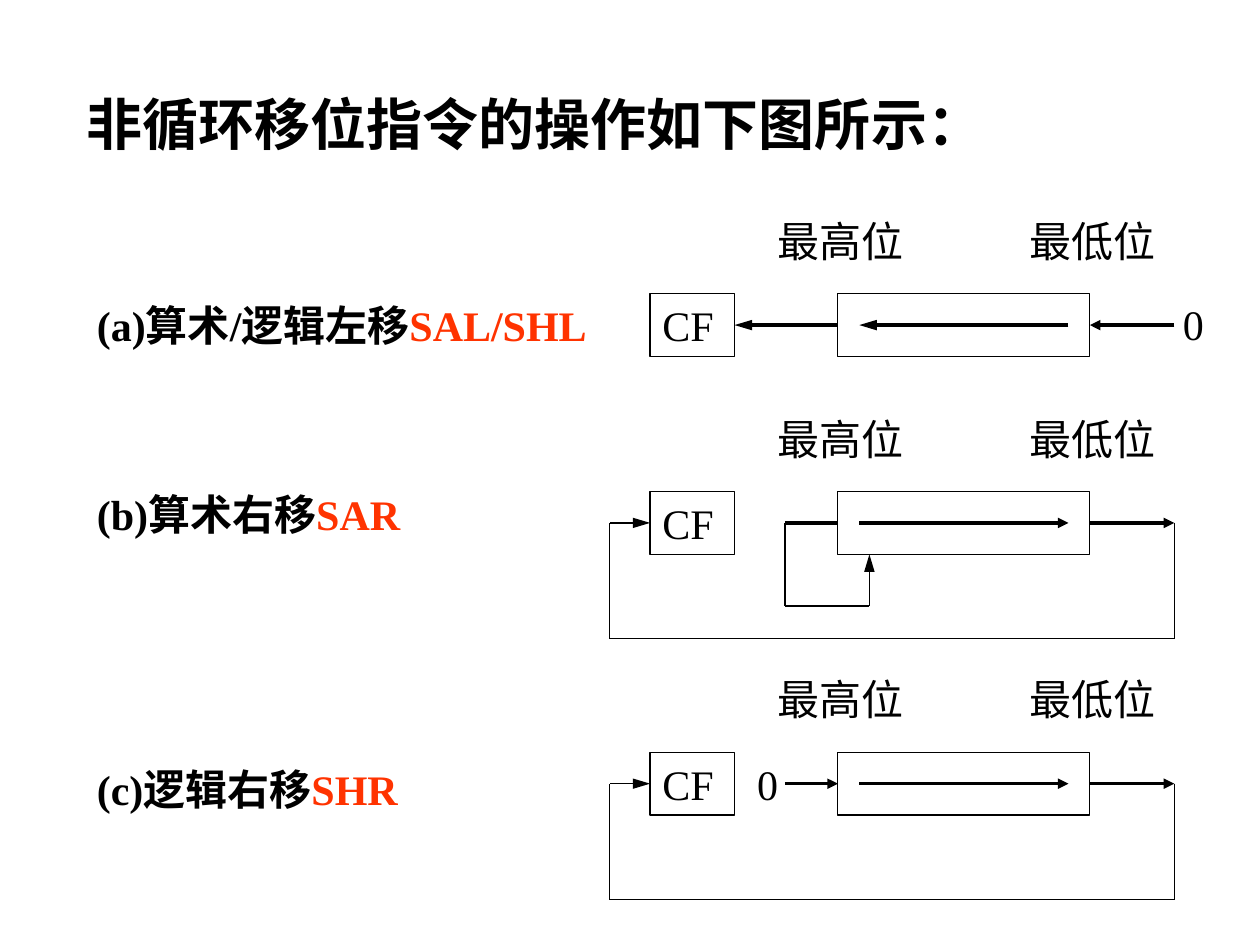
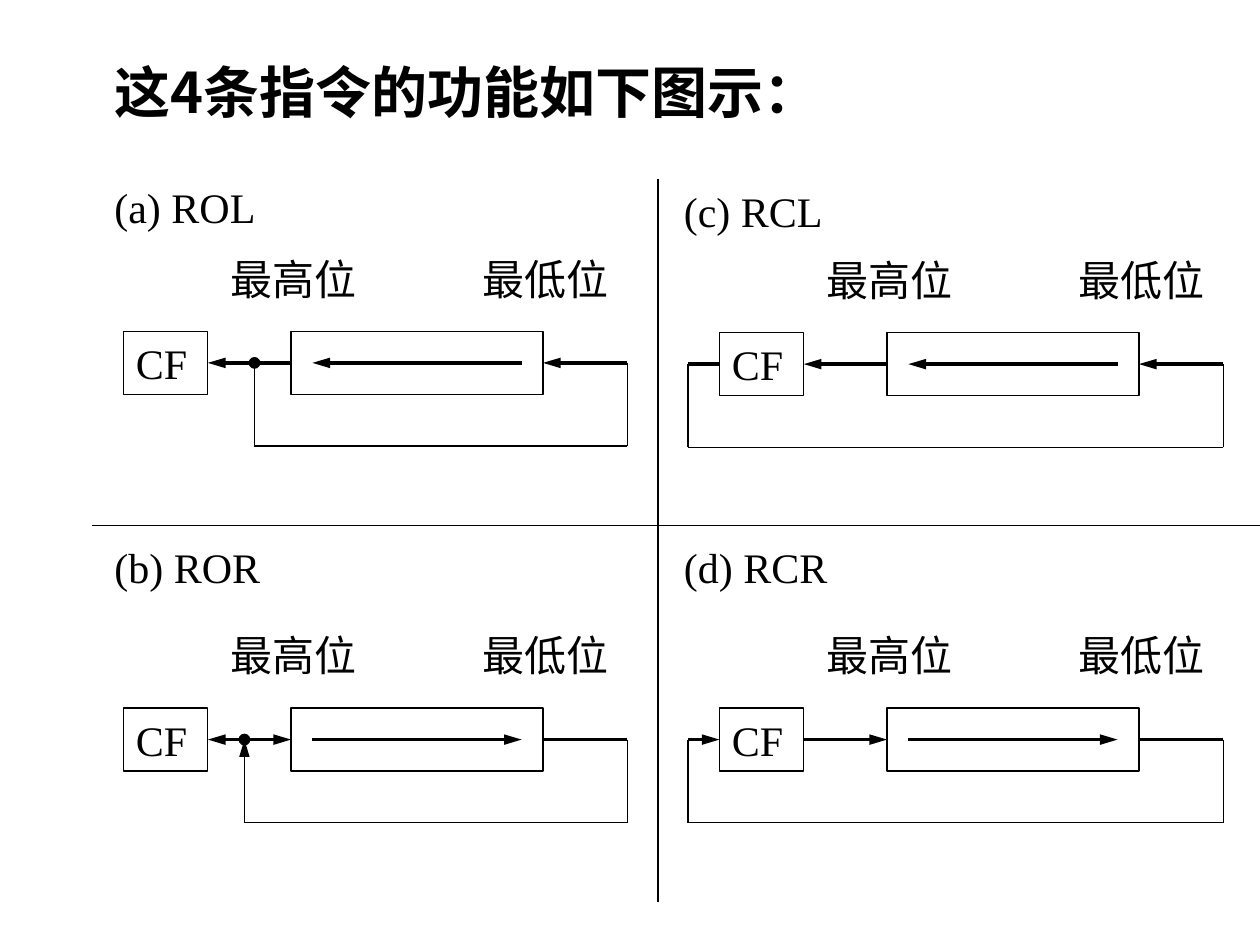
from collections import namedtuple
from dataclasses import dataclass
from itertools import pairwise

from pptx import Presentation
from pptx.dml.color import RGBColor
from pptx.enum.shapes import MSO_CONNECTOR as Link, MSO_SHAPE as Form
from pptx.enum.text import MSO_ANCHOR as Anchor, PP_ALIGN as Align
from pptx.oxml.ns import qn
from pptx.oxml.xmlchemy import OxmlElement as Node
from pptx.util import Inches, Pt

TOP, LEFT, BOTTOM, RIGHT = range(4)
Join = namedtuple("Join", "shape side")


@dataclass(frozen=True)
class Theme:
    ink: RGBColor = RGBColor(0, 0, 0)
    red: RGBColor = RGBColor(0xFF, 0x33, 0x00)
    latin: str = "Times New Roman"
    han: str = "Noto Sans CJK SC"
    head: int = 32
    body: int = 24
    thin: float = 0.75
    rule: float = 1
    bold: float = 2


class Deck:
    def __init__(self, theme):
        self.theme = theme
        self.prs = Presentation()
        self.prs.slide_width, self.prs.slide_height = Inches(10), Inches(7.5)
        self.slide = None

    def page(self, title, x, y):
        self.slide = self.prs.slides.add_slide(self.prs.slide_layouts[6])
        look = {"size": Pt(self.theme.head), "name": self.theme.han, "bold": True}
        box = self.text(x, y, 8.5, 0.63, [(title, look)])
        box.text_frame.paragraphs[0].line_spacing = 0.9

    def fill_text(self, shape, runs):
        """Write (words, format values) runs into the shape's first paragraph."""
        frame = shape.text_frame
        frame.word_wrap = True
        frame.vertical_anchor = Anchor.TOP
        para = frame.paragraphs[0]
        para.alignment = Align.LEFT
        for words, look in runs:
            run = para.add_run()
            run.text = words
            base = {"size": Pt(self.theme.body), "name": self.theme.latin}
            for key, val in (base | look).items():
                if key == "color":
                    run.font.color.rgb = val
                else:
                    setattr(run.font, key, val)
            if "color" not in look:
                run.font.color.rgb = self.theme.ink
            east = Node("a:ea")
            east.set("typeface", self.theme.han)
            run.font._element.find(qn("a:latin")).addnext(east)

    def text(self, x, y, w, h, runs):
        box = self.slide.shapes.add_textbox(*map(Inches, (x, y, w, h)))
        self.fill_text(box, runs)
        return box

    def label(self, x, y, words, w=1.5):
        self.text(x, y, w, 0.5, [(words, {})])

    def name(self, y, words, code):
        """Name a shift in bold, with its mnemonic in red."""
        red = {"bold": True, "color": self.theme.red}
        self.text(0.67, y, 4.32, 0.5, [(words, {"bold": True}), (code, red)])

    def shape(self, form, x, y, w, h, weight):
        item = self.slide.shapes.add_shape(form, *map(Inches, (x, y, w, h)))
        item.shadow.inherit = False
        item.fill.background()
        item.line.color.rgb = self.theme.ink
        item.line.width = Pt(weight)
        return item

    def dot(self, x, y):
        item = self.shape(Form.OVAL, x - 0.04, y - 0.04, 0.08, 0.08, self.theme.rule)
        item.fill.solid()
        item.fill.fore_color.rgb = self.theme.ink

    def line(self, a, b, weight=None, tips=(), size="lg"):
        """Draw from a to b, each a point or a Join; tips names the arrow ends."""
        start, stop = ((0, 0) if isinstance(end, Join) else end for end in (a, b))
        line = self.slide.shapes.add_connector(
            Link.STRAIGHT, *map(Inches, (*start, *stop)))
        if isinstance(a, Join):
            line.begin_connect(*a)
        if isinstance(b, Join):
            line.end_connect(*b)
        line.line.color.rgb = self.theme.ink
        line.line.width = Pt(weight or self.theme.bold)
        props = line._element.spPr
        for tip in tips:
            node = Node(f"a:{tip}End")
            for key, val in {"type": "triangle", "w": "med", "len": size}.items():
                node.set(key, val)
            props.find(qn("a:ln")).append(node)
        props.append(Node("a:effectLst"))

    def arrow(self, a, b, size="lg"):
        self.line(a, b, tips=["tail"], size=size)

    def wire(self, *stops, tip=False):
        """Chain thin lines through the stops, with a tip on the last if asked."""
        legs = list(pairwise(stops))
        for i, (a, b) in enumerate(legs, 1):
            last = tip and i == len(legs)
            self.line(a, b, self.theme.thin, ["tail"] if last else [])

    def unit(self, x, mid, gap, left, size="lg"):
        """Draw a register, its bit labels, inner arrow and carry flag box."""
        reg = self.shape(Form.RECTANGLE, x, mid - 0.25, 2, 0.5, self.theme.thin)
        flag = self.shape(Form.RECTANGLE, x - gap, mid - 0.25, 0.67, 0.5,
                          self.theme.thin)
        self.fill_text(flag, [("CF", {})])
        for i, words in enumerate(("最高位", "最低位")):
            self.label(x - 0.58 + 2 * i, mid - 0.92, words)
        ends = [(x + 0.17, mid), (x + 1.83, mid)]
        self.arrow(*(ends[::-1] if left else ends), size=size)
        return flag, reg


def shifts(deck):
    deck.page("非循环移位指令的操作如下图所示：", 0.59, 0.72)
    x, gap, far, near = 6.65, 1.49, 9.32, 4.84

    mid = 2.58
    flag, reg = deck.unit(x, mid, gap, True)
    deck.name(2.33, "(a)算术/逻辑左移", "SAL/SHL")
    deck.arrow(Join(reg, LEFT), Join(flag, RIGHT))
    deck.arrow((far, mid), Join(reg, RIGHT), "med")
    deck.label(9.29, 2.32, "0", 0.4)

    rows = [(4.15, 3.83, "(b)算术右移", "SAR"), (6.22, 6.01, "(c)逻辑右移", "SHR")]
    for mid, top, words, code in rows:
        flag, reg = deck.unit(x, mid, gap, False, "med")
        deck.name(top, words, code)
        deck.arrow(Join(reg, RIGHT), (far, mid), "med")
        low = mid + 0.92
        deck.wire((far, mid), (far, low), (near, low), (near, mid),
                  Join(flag, LEFT), tip=True)
        turn = (6.23, mid)
        if code == "SAR":
            deck.line(Join(reg, LEFT), turn)
            deck.wire(turn, (6.23, mid + 0.66), (6.9, mid + 0.66),
                      (6.9, mid + 0.25), tip=True)
        else:
            deck.arrow(turn, Join(reg, LEFT), "med")
            deck.label(5.91, mid - 0.25, "0", 0.42)


def turns(deck):
    deck.page("这4条指令的功能如下图示：", 0.81, 0.47)
    gap, drop = 1.33, 0.66
    plain = [(2.88, 1.39, "(a) ROL", 2.02, True), (5.87, 4.25, "(b) ROR", 1.94, False)]
    carry = [(2.89, 1.42, "(c) RCL", True), (5.87, 4.25, "(d) RCR", False)]

    def feed(reg, far, mid, left):
        if left:
            deck.arrow((far, mid), Join(reg, RIGHT))
        else:
            deck.line(Join(reg, RIGHT), (far, mid))

    far = 4.98
    for mid, top, words, tap, left in plain:
        flag, reg = deck.unit(2.31, mid, gap, left)
        deck.label(0.81, top, words)
        feed(reg, far, mid, left)
        deck.wire((far, mid), (far, mid + drop), (tap, mid + drop), (tap, mid),
                  tip=not left)
        deck.line(Join(reg, LEFT), Join(flag, RIGHT),
                  tips=["tail"] if left else ["head", "tail"])
        deck.dot(tap, mid)

    far, near = 9.71, 5.46
    for mid, top, words, left in carry:
        flag, reg = deck.unit(7.04, mid, gap, left)
        deck.label(5.33, top, words)
        feed(reg, far, mid, left)
        deck.wire((far, mid), (far, mid + drop), (near, mid + drop), (near, mid))
        if left:
            deck.arrow(Join(reg, LEFT), Join(flag, RIGHT))
            deck.line(Join(flag, LEFT), (near, mid))
        else:
            deck.arrow(Join(flag, RIGHT), Join(reg, LEFT))
            deck.arrow((near, mid), Join(flag, LEFT))

    deck.line((0.73, 4.17), (10, 4.17), deck.theme.rule)
    deck.line((5.22, 1.42), (5.22, 7.16), deck.theme.rule)


def main():
    deck = Deck(Theme())
    shifts(deck)
    turns(deck)
    deck.prs.save("out.pptx")


if __name__ == "__main__":
    main()
